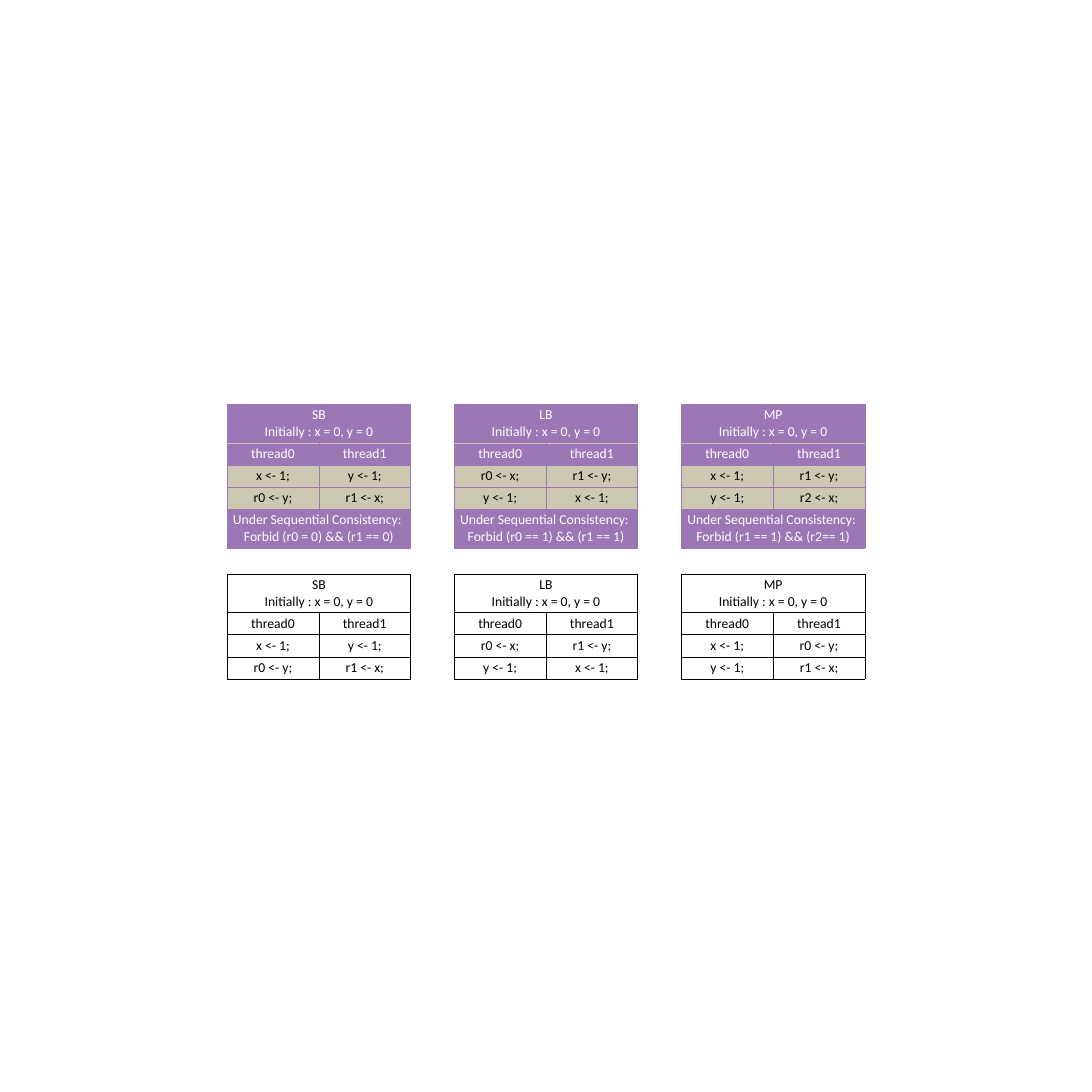
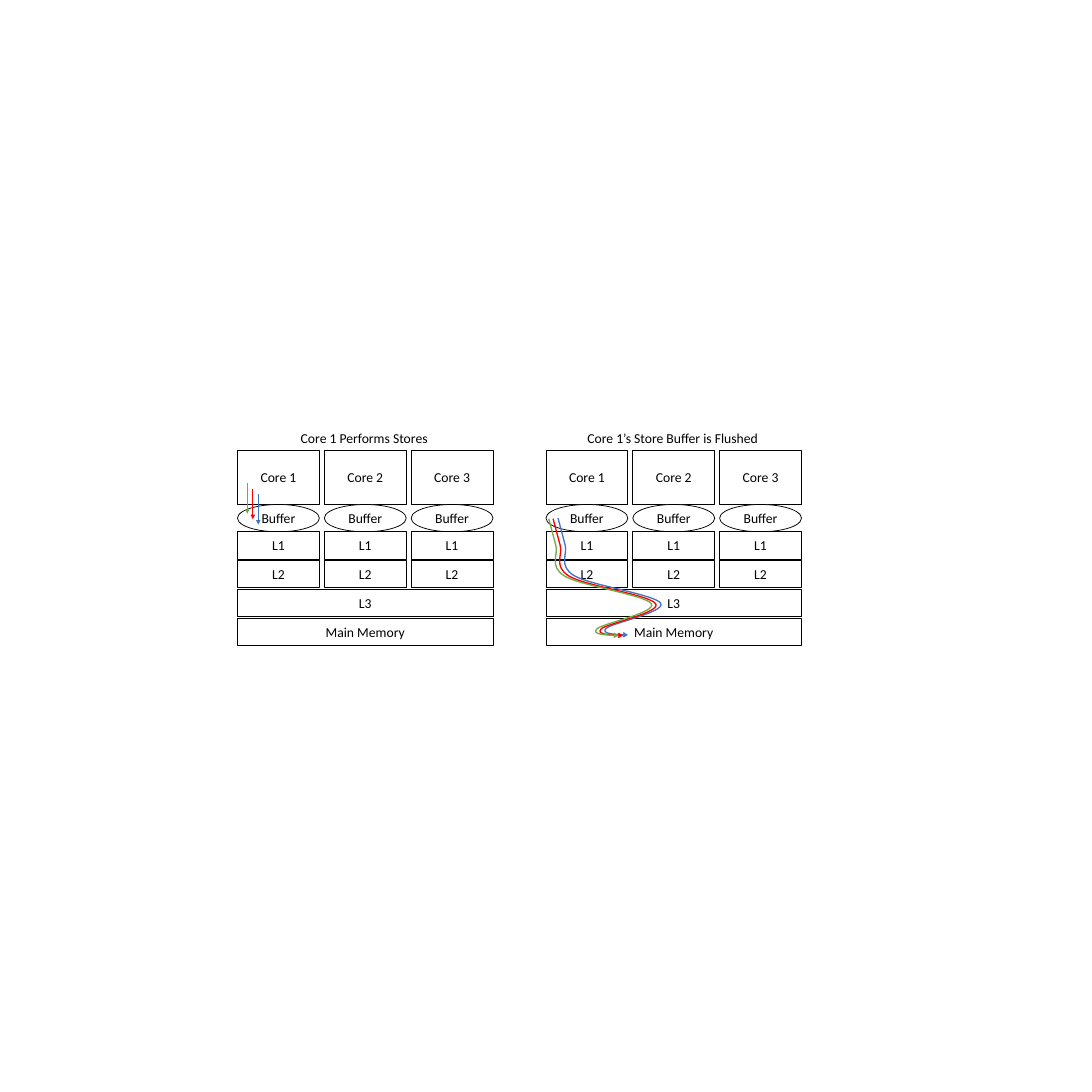
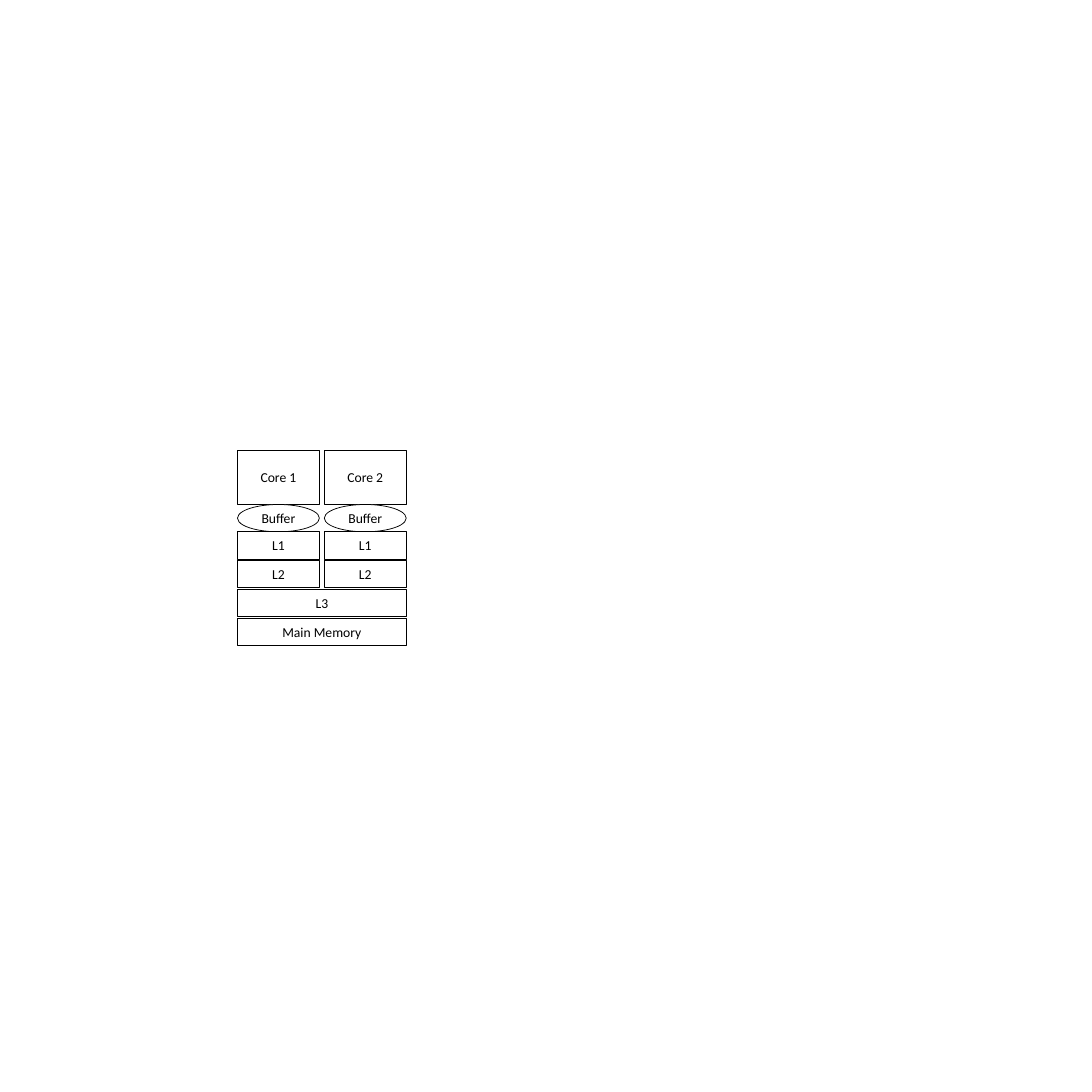
from lxml.etree import SubElement
from pptx import Presentation
from pptx.dml.color import RGBColor
from pptx.enum.shapes import MSO_CONNECTOR as Link, MSO_SHAPE as Kind
from pptx.enum.text import MSO_ANCHOR as Anchor, PP_ALIGN as Align
from pptx.oxml.ns import qn
from pptx.util import Inches, Pt

BLACK = RGBColor(0x00, 0x00, 0x00)
WHITE = RGBColor(0xFF, 0xFF, 0xFF)
PLUM = RGBColor(0x9B, 0x78, 0xB5)
SAND = RGBColor(0xCE, 0xC8, 0xB2)
RED = RGBColor(0xFF, 0x00, 0x00)
GREEN = RGBColor(0x70, 0xAD, 0x47)
BLUE = RGBColor(0x44, 0x72, 0xC4)
FONT = "Calibri"
SIZE = Pt(18)

START = "Initially : x = 0, y = 0"
RULE = "Under Sequential Consistency: "
THREADS = ("thread0", "thread1")
FULL = [
    ("SB", [("x <- 1;", "y <- 1;"), ("r0 <- y;", "r1 <- x;")],
     "Forbid (r0 = 0) && (r1 == 0)"),
    ("LB", [("r0 <- x;", "r1 <- y;"), ("y <- 1;", "x <- 1;")],
     "Forbid (r0 == 1) && (r1 == 1)"),
    ("MP", [("x <- 1;", "r1 <- y;"), ("y <- 1;", "r2 <- x;")],
     "Forbid (r1 == 1) && (r2== 1)"),
]
PLAIN = [
    ("SB", [("x <- 1;", "y <- 1;"), ("r0 <- y;", "r1 <- x;")], None),
    ("LB", [("r0 <- x;", "r1 <- y;"), ("y <- 1;", "x <- 1;")], None),
    ("MP", [("x <- 1;", "r0 <- y;"), ("y <- 1;", "r1 <- x;")], None),
]
TEST_X, TEST_STEP, COL_W = 4.16, 4.16, 1.68
TALL, SHORT = 0.71, 0.4

PARTS = [
    ("Core {}", 8.24, 1, Kind.RECTANGLE),
    ("Buffer", 9.24, 0.5, Kind.OVAL),
    ("L1", 9.74, 0.5, Kind.RECTANGLE),
    ("L2", 10.26, 0.5, Kind.RECTANGLE),
]
SHARED = [("L3", 10.79), ("Main Memory", 11.32)]
LEFT, RIGHT = 4.35, 10
CORE_W, CORE_STEP = 1.5, 1.59
TITLES = [
    ("Core 1 Performs Stores", 5.41, 4.04),
    ("Core 1\u2019s Store Buffer is Flushed", 10.66, 5.37),
]
STORES = [(RED, 4.63, 8.95), (GREEN, 4.53, 8.85), (BLUE, 4.73, 9.05)]
DROP = 0.56
FLUSH = [
    (10.22, 9.49), (10.35, 9.98),
    (10.4, 10.15), (10.22, 10.36), (10.51, 10.54),
    (10.8, 10.72), (12.01, 10.89), (12.1, 11.05),
    (12.2, 11.21), (11.2, 11.41), (11.1, 11.51),
    (11, 11.61), (11.41, 11.63), (11.5, 11.63),
]
SHIFTS = [(BLUE, 0, 0), (RED, -0.09, 0.01), (GREEN, -0.17, 0.01)]


def style(frame, color=BLACK, align=Align.CENTER):
    for para in frame.paragraphs:
        para.alignment = align
        for run in para.runs:
            run.font.name = FONT
            run.font.size = SIZE
            run.font.bold = False
            run.font.color.rgb = color


def edge(cell, side, color):
    line = SubElement(cell._tc.get_or_add_tcPr(), qn("a:ln" + side), w=str(Pt(1)))
    SubElement(SubElement(line, qn("a:solidFill")), qn("a:srgbClr"), val=str(color))


def add_test(slide, left, top, test, tinted):
    name, code, forbid = test
    rows = [(f"{name}\n{START}", ""), THREADS]
    rows += [tuple(text.replace(" ", "\u00a0") for text in pair) for pair in code]
    if forbid:
        rows.append((f"{RULE}\n{forbid}", ""))
    highs = [SHORT if pair[1] else TALL for pair in rows]
    table = slide.shapes.add_table(
        len(rows), 2, Inches(left), Inches(top),
        Inches(2 * COL_W), Inches(sum(highs))).table
    table.first_row = table.horz_banding = False
    for col in table.columns:
        col.width = Inches(COL_W)
    for r, (pair, high) in enumerate(zip(rows, highs)):
        table.rows[r].height = Inches(high)
        is_code = 2 <= r < 2 + len(code)
        for c, text in enumerate(pair):
            cell = table.cell(r, c)
            for side in "LRTB":
                seam = (r, side) in ((0, "B"), (1, "T"))
                edge(cell, side, (SAND if seam else PLUM) if tinted else BLACK)
            if tinted:
                cell.fill.solid()
                cell.fill.fore_color.rgb = SAND if is_code else PLUM
            else:
                cell.fill.background()
            cell.text_frame.text = text
            style(cell.text_frame, WHITE if tinted and not is_code else BLACK)
        if not pair[1]:
            table.cell(r, 0).merge(table.cell(r, 1))


def add_part(slide, kind, text, left, top, width, high):
    part = slide.shapes.add_shape(
        kind, Inches(left), Inches(top), Inches(width), Inches(high))
    part.shadow.inherit = False
    part.fill.solid()
    part.fill.fore_color.rgb = WHITE
    part.line.color.rgb = BLACK
    part.line.width = Pt(1)
    part.text_frame.text = text
    part.text_frame.vertical_anchor = Anchor.MIDDLE
    style(part.text_frame)


def add_stack(slide, left, count):
    for text, top, high, kind in PARTS:
        for i in range(count):
            add_part(slide, kind, text.format(i + 1),
                     left + i * CORE_STEP, top, CORE_W, high)
    width = (count - 1) * CORE_STEP + CORE_W
    for text, top in SHARED:
        add_part(slide, Kind.RECTANGLE, text, left, top, width, 0.5)


def add_head(shape, color, head):
    shape.line.color.rgb = color
    shape.line.width = Pt(1.75)
    props = shape._element.spPr
    SubElement(props.find(qn("a:ln")), qn("a:tailEnd"), type=head)
    SubElement(props, qn("a:effectLst"))


def add_store(slide, color, x, y):
    line = slide.shapes.add_connector(
        Link.STRAIGHT, Inches(x), Inches(y), Inches(x), Inches(y + DROP))
    add_head(line, color, "triangle")


def add_flush(slide, color, dx, dy):
    first, *rest = [(Inches(x + dx), Inches(y + dy)) for x, y in FLUSH]
    maker = slide.shapes.build_freeform(*first)
    maker.add_line_segments(rest, close=False)
    curve = maker.convert_to_shape()
    curve.fill.background()
    steps = curve._element.xpath(".//a:lnTo")[1:]
    for i in range(0, len(steps), 3):
        bend = SubElement(steps[i].getparent(), qn("a:cubicBezTo"))
        for step in steps[i:i + 3]:
            bend.append(step[0])
            step.getparent().remove(step)
    add_head(curve, color, "arrow")


def add_title(slide, text, left, width):
    box = slide.shapes.add_textbox(
        Inches(left), Inches(7.83), Inches(width), Inches(0.6))
    box.text_frame.word_wrap = True
    box.text_frame.text = text
    style(box.text_frame, align=Align.LEFT)


deck = Presentation()
deck.slide_width = deck.slide_height = Inches(20)
tests, stores, pair = [deck.slides.add_slide(deck.slide_layouts[6]) for _ in range(3)]

for group, top, tinted in ((FULL, 7.4, True), (PLAIN, 10.51, False)):
    for i, test in enumerate(group):
        add_test(tests, TEST_X + i * TEST_STEP, top, test, tinted)

for left in (LEFT, RIGHT):
    add_stack(stores, left, 3)
for store in STORES:
    add_store(stores, *store)
for shift in SHIFTS:
    add_flush(stores, *shift)
for title in TITLES:
    add_title(stores, *title)

add_stack(pair, LEFT, 2)

deck.save("out.pptx")
